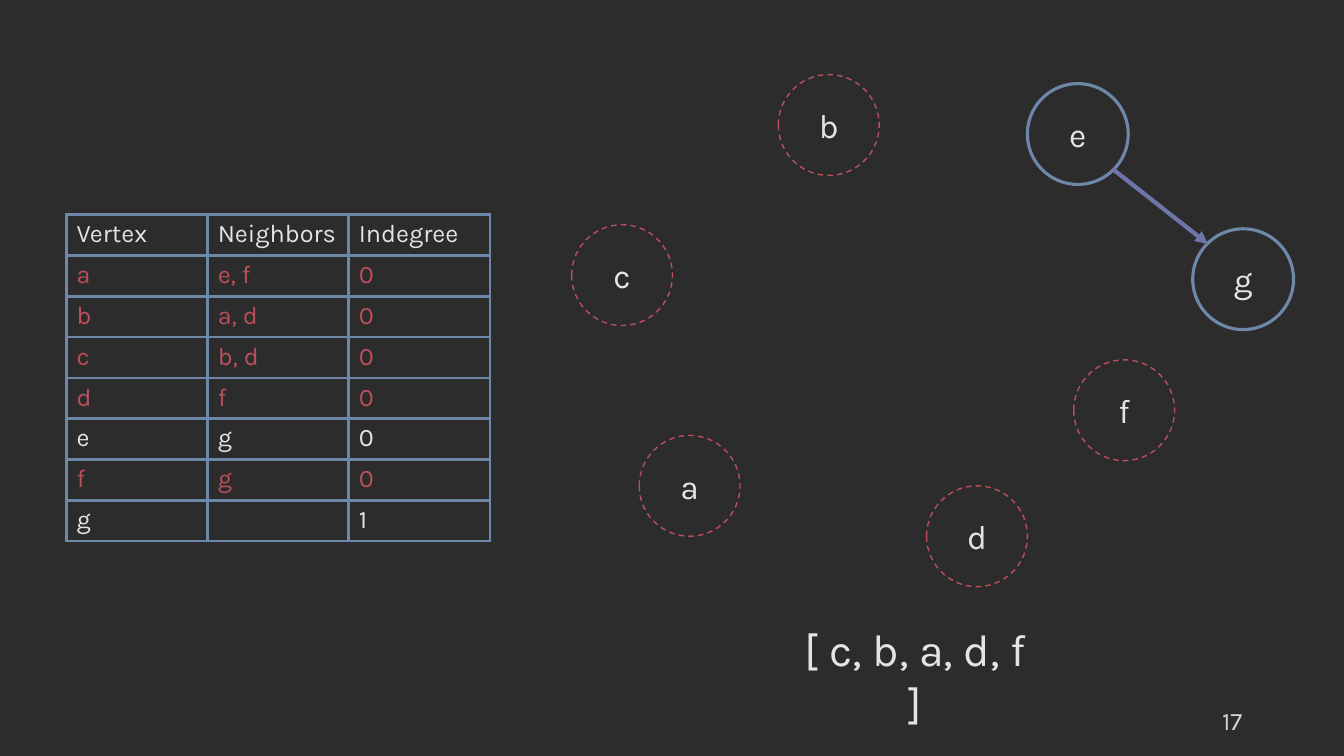
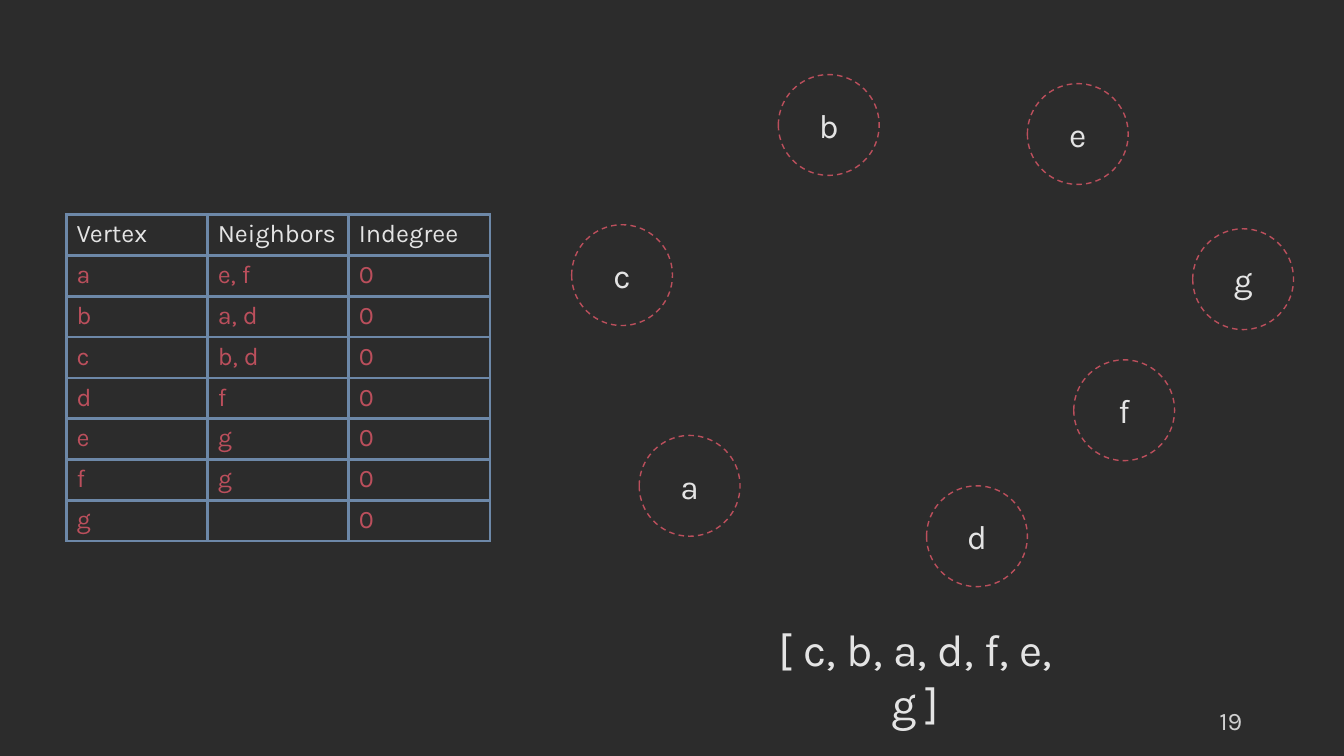
import pptx
import pptx.dml.color
import pptx.enum.dml
import pptx.enum.shapes
import pptx.enum.text
import pptx.oxml
import pptx.oxml.ns
import pptx.util
from pptx.util import Inches

FONT = "Karla"
DARK, LIGHT, GREY = "2C2C2C", "E4E4E4", "D1D1D1"
RED, BLUE, VIOLET = "BB4F5C", "6D88A8", "6E75A8"
ALIGN = pptx.enum.text.PP_ALIGN
MIDDLE = pptx.enum.text.MSO_ANCHOR.MIDDLE
GRAPH = {"a": "ef", "b": "ad", "c": "bd", "d": "f", "e": "g", "f": "g", "g": ""}
SPOTS = {"b": (7.72, 0.74), "a": (6.34, 4.32), "c": (5.67, 2.23), "e": (10.19, 0.83),
         "d": (9.19, 4.82), "f": (10.65, 3.57), "g": (11.83, 2.27)}
STEPS = [("17", "cbadf", 2.4), ("19", "cbadfeg", 3.2)]


def color(code):
    """Turn a hex string into a colour."""
    return pptx.dml.color.RGBColor.from_string(code)


def write(frame, text, size, code, align=ALIGN.LEFT):
    """Put one styled run into a text frame."""
    para = frame.paragraphs[0]
    para.alignment = align
    para.font.size = pptx.util.Pt(size)
    if text:
        run = para.add_run()
        run.text = text
        run.font.name = FONT
        run.font.size = pptx.util.Pt(size)
        run.font.color.rgb = color(code)


def stroke(line, code, width):
    """Set the colour and width of a line."""
    line.color.rgb = color(code)
    line.width = pptx.util.Pt(width)


def label(slide, box, text, size, code, align):
    """Add a wrapping text box and return its frame."""
    frame = slide.shapes.add_textbox(*map(Inches, box)).text_frame
    frame.word_wrap = True
    write(frame, text, size, code, align)
    return frame


def node(slide, name, done):
    """Draw a vertex, dashed once it is done."""
    x, y = SPOTS[name]
    oval = slide.shapes.add_shape(pptx.enum.shapes.MSO_SHAPE.OVAL,
                                  Inches(x), Inches(y), Inches(1), Inches(1))
    oval.shadow.inherit = False
    oval.fill.background()
    if done:
        stroke(oval.line, RED, 1)
        oval.line.dash_style = pptx.enum.dml.MSO_LINE.DASH
    else:
        stroke(oval.line, BLUE, 2.25)
    oval.text_frame.vertical_anchor = MIDDLE
    write(oval.text_frame, name, 24, LIGHT, ALIGN.CENTER)


def arrow(slide, start, end):
    """Draw an arrow from the lower right of one vertex to the upper left of another."""
    ends = [v + 0.85 for v in SPOTS[start]] + [v + 0.15 for v in SPOTS[end]]
    link = slide.shapes.add_connector(pptx.enum.shapes.MSO_CONNECTOR.STRAIGHT,
                                      *map(Inches, ends))
    stroke(link.line, VIOLET, 3)
    tag = pptx.oxml.ns.qn
    head = link.line._get_or_add_ln().makeelement(tag("a:tailEnd"), {"type": "triangle"})
    link.line._get_or_add_ln().append(head)
    props = link._element.spPr
    props.append(props.makeelement(tag("a:effectLst"), {}))


def edge(cell):
    """Give a cell four blue borders and no fill."""
    props = cell._tc.get_or_add_tcPr()
    for side in "LRTB":
        props.append(pptx.oxml.parse_xml(
            f'<a:ln{side} {pptx.oxml.ns.nsdecls("a")} w="{pptx.util.Pt(2.25)}">'
            f'<a:solidFill><a:srgbClr val="{BLUE}"/></a:solidFill></a:ln{side}>'))
    cell.fill.background()


def grid(slide, done):
    """Add the table of vertices with the indegrees that are left."""
    left = "".join(GRAPH[v] for v in GRAPH if v not in done)
    rows = [("Vertex", "Neighbors", "Indegree")]
    rows += [(v, ", ".join(GRAPH[v]), str(left.count(v))) for v in GRAPH]
    table = slide.shapes.add_table(len(rows), 3, Inches(0.66), Inches(2.13),
                                   Inches(4.2), Inches(3.24)).table
    table.first_row = table.horz_banding = False
    for r, row in enumerate(rows):
        for c, text in enumerate(row):
            cell = table.cell(r, c)
            edge(cell)
            write(cell.text_frame, text, 18, RED if row[0] in done else LIGHT)


def build(slide, page, done, width):
    """Build one step of the sort."""
    frame = label(slide, (9.42, 6.95, 3, 0.4), page, 18, GREY, ALIGN.RIGHT)
    frame.vertical_anchor = MIDDLE
    for name in SPOTS:
        node(slide, name, name in done)
    for start in GRAPH:
        if start not in done:
            for end in GRAPH[start]:
                arrow(slide, start, end)
    label(slide, (9.08 - width / 2, 6.12, width, 0.64), f"[ {', '.join(done)} ]",
          32, LIGHT, ALIGN.CENTER).auto_size = pptx.enum.text.MSO_AUTO_SIZE.SHAPE_TO_FIT_TEXT
    grid(slide, done)


def main():
    """Make the deck and save it."""
    deck = pptx.Presentation()
    deck.slide_width, deck.slide_height = Inches(13.33), Inches(7.5)
    fill = deck.slide_master.background.fill
    fill.solid()
    fill.fore_color.rgb = color(DARK)
    for step in STEPS:
        build(deck.slides.add_slide(deck.slide_layouts[6]), *step)
    deck.save("out.pptx")


if __name__ == "__main__":
    main()
